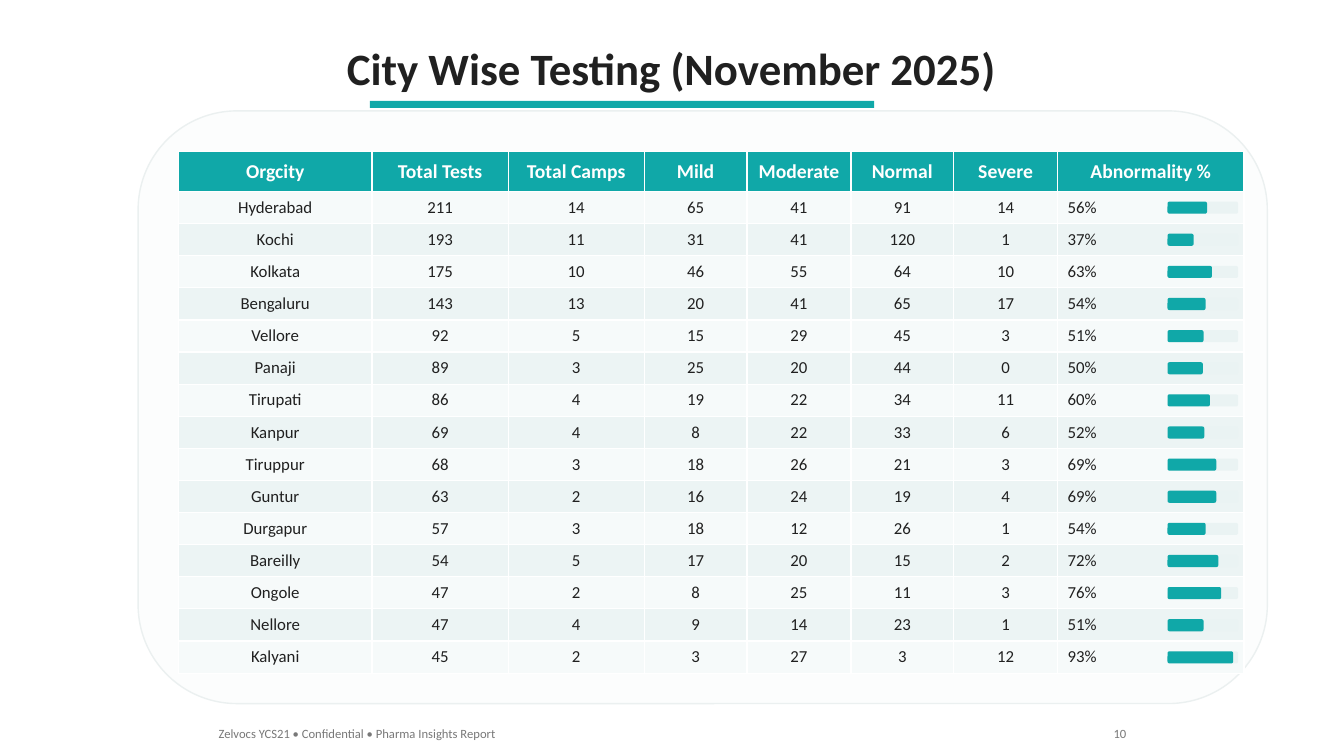
import pptx
import pptx.dml.color
import pptx.enum.shapes
import pptx.enum.text
import pptx.util

PX = 9144  # EMU in one px, 100 px to the inch
FONT = "Calibri"
COLOURS = {
    "white": "FFFFFF", "ink": "202020", "grey": "787878", "teal": "10A8A8",
    "panel": "FCFDFD", "panel_line": "EBF0F0", "track": "EAF3F3",
    "odd_row": "F6FAFA", "even_row": "ECF4F4",
}
SHAPE = pptx.enum.shapes.MSO_SHAPE
ANCHOR = pptx.enum.text.MSO_ANCHOR
ALIGN = pptx.enum.text.PP_ALIGN

HEADINGS = ["Orgcity", "Total Tests", "Total Camps", "Mild", "Moderate",
            "Normal", "Severe", "Abnormality %"]
CITIES = [
    ("Hyderabad", 211, 14, 65, 41, 91, 14, 56),
    ("Kochi", 193, 11, 31, 41, 120, 1, 37),
    ("Kolkata", 175, 10, 46, 55, 64, 10, 63),
    ("Bengaluru", 143, 13, 20, 41, 65, 17, 54),
    ("Vellore", 92, 5, 15, 29, 45, 3, 51),
    ("Panaji", 89, 3, 25, 20, 44, 0, 50),
    ("Tirupati", 86, 4, 19, 22, 34, 11, 60),
    ("Kanpur", 69, 4, 8, 22, 33, 6, 52),
    ("Tiruppur", 68, 3, 18, 26, 21, 3, 69),
    ("Guntur", 63, 2, 16, 24, 19, 4, 69),
    ("Durgapur", 57, 3, 18, 12, 26, 1, 54),
    ("Bareilly", 54, 5, 17, 20, 15, 2, 72),
    ("Ongole", 47, 2, 8, 25, 11, 3, 76),
    ("Nellore", 47, 4, 9, 14, 23, 1, 51),
    ("Kalyani", 45, 2, 3, 27, 3, 12, 93),
]
COLUMN_WIDTHS = [192] + [135] * 2 + [102, 103] * 2 + [185]
HEADER_HEIGHT = 40
TABLE_HEIGHT = 518
ROW_HEIGHT = (TABLE_HEIGHT - HEADER_HEIGHT) / len(CITIES)


def px(length):
    return pptx.util.Emu(round(length * PX))


def colour(name):
    return pptx.dml.color.RGBColor.from_string(COLOURS[name])


class SlideBuilder:
    def __init__(self, slide):
        self.slide = slide

    def add_text(self, frame, text, size, ink, align=ALIGN.LEFT, bold=False):
        paragraph = frame.paragraphs[0]
        paragraph.alignment = align
        run = paragraph.add_run()
        run.text = text
        run.font.name = FONT
        run.font.size = pptx.util.Pt(size)
        run.font.bold = bold
        run.font.color.rgb = colour(ink)

    def title(self, left, top, width, height, text):
        title = self.slide.shapes.title
        title.left, title.top = px(left), px(top)
        title.width, title.height = px(width), px(height)
        frame = title.text_frame
        frame.word_wrap = False
        frame.auto_size = pptx.enum.text.MSO_AUTO_SIZE.NONE
        frame.vertical_anchor = ANCHOR.TOP
        self.add_text(frame, text, 32, "ink", ALIGN.CENTER, True)

    def label(self, left, top, width, height, text, align=ALIGN.LEFT):
        box = self.slide.shapes.add_textbox(px(left), px(top), px(width), px(height))
        box.text_frame.word_wrap = False
        self.add_text(box.text_frame, text, 9, "grey", align)

    def shape(self, kind, left, top, width, height, fill, line=None):
        shape = self.slide.shapes.add_shape(
            kind, px(left), px(top), px(width), px(height))
        shape.shadow.inherit = False
        shape.fill.solid()
        shape.fill.fore_color.rgb = colour(fill)
        if line:
            shape.line.color.rgb = colour(line)
            shape.line.width = pptx.util.Pt(1)
        else:
            shape.line.fill.background()

    def cell(self, cell, text, size, ink, fill, align, bold):
        cell.fill.solid()
        cell.fill.fore_color.rgb = colour(fill)
        cell.vertical_anchor = ANCHOR.MIDDLE
        self.add_text(cell.text_frame, text, size, ink, align, bold)

    def table(self, left, top):
        table = self.slide.shapes.add_table(
            len(CITIES) + 1, len(HEADINGS), px(left), px(top),
            px(sum(COLUMN_WIDTHS)), px(TABLE_HEIGHT)).table
        for column, width in zip(table.columns, COLUMN_WIDTHS):
            column.width = px(width)
        for index, row in enumerate(table.rows):
            row.height = px(ROW_HEIGHT if index else HEADER_HEIGHT)
        for index, heading in enumerate(HEADINGS):
            self.cell(table.cell(0, index), heading, 14, "white", "teal",
                      ALIGN.CENTER, True)
        for row, city in enumerate(CITIES, 1):
            fill = "odd_row" if row % 2 else "even_row"
            texts = [str(value) for value in city[:-1]] + [f"{city[-1]}%"]
            for index, text in enumerate(texts):
                last = index == len(texts) - 1
                self.cell(table.cell(row, index), text, 12, "ink", fill,
                          ALIGN.LEFT if last else ALIGN.CENTER, False)

    def progress_bar(self, left, top, width, height, percent):
        for length, fill in ((width, "track"), (width * percent / 100, "teal")):
            self.shape(SHAPE.ROUNDED_RECTANGLE, left, top, length, height, fill)


def main():
    presentation = pptx.Presentation()
    presentation.slide_width, presentation.slide_height = px(1333), px(750)
    title_only = presentation.slide_layouts[5]
    builder = SlideBuilder(presentation.slides.add_slide(title_only))

    # Title, underline and panel
    builder.title(331, 35, 670, 64, "City Wise Testing (November 2025)")
    builder.shape(SHAPE.RECTANGLE, 367, 100, 500, 7, "teal")
    builder.shape(SHAPE.ROUNDED_RECTANGLE, 137, 110, 1120, 588, "panel", "panel_line")

    # City table with a bar for each abnormality share
    builder.table(177, 150)
    for index, city in enumerate(CITIES):
        builder.progress_bar(1158, 200 + index * ROW_HEIGHT, 70, 12, city[-1])

    # Footer
    builder.label(207, 715, 305, 25,
                  "Zelvocs YCS21 • Confidential • Pharma Insights Report")
    builder.label(1094, 715, 33, 25, "10", ALIGN.RIGHT)

    presentation.save("out.pptx")


if __name__ == "__main__":
    main()
